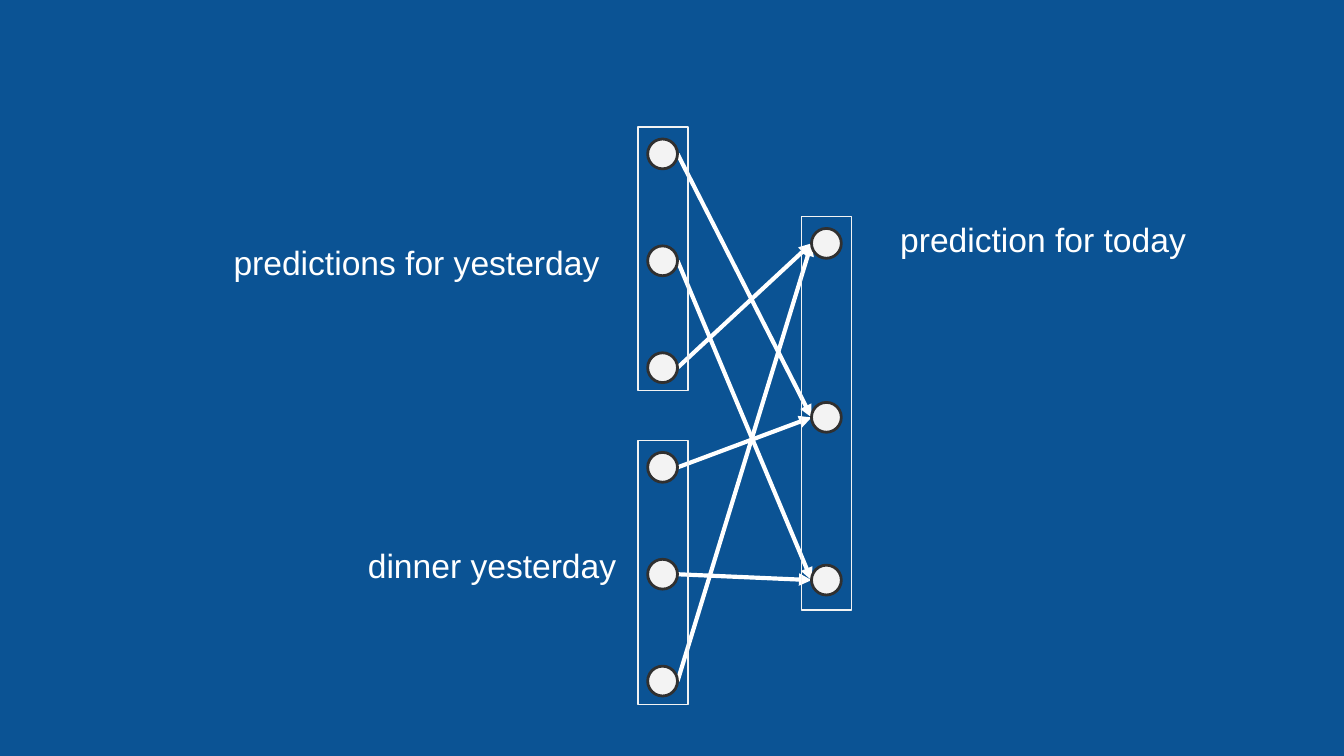
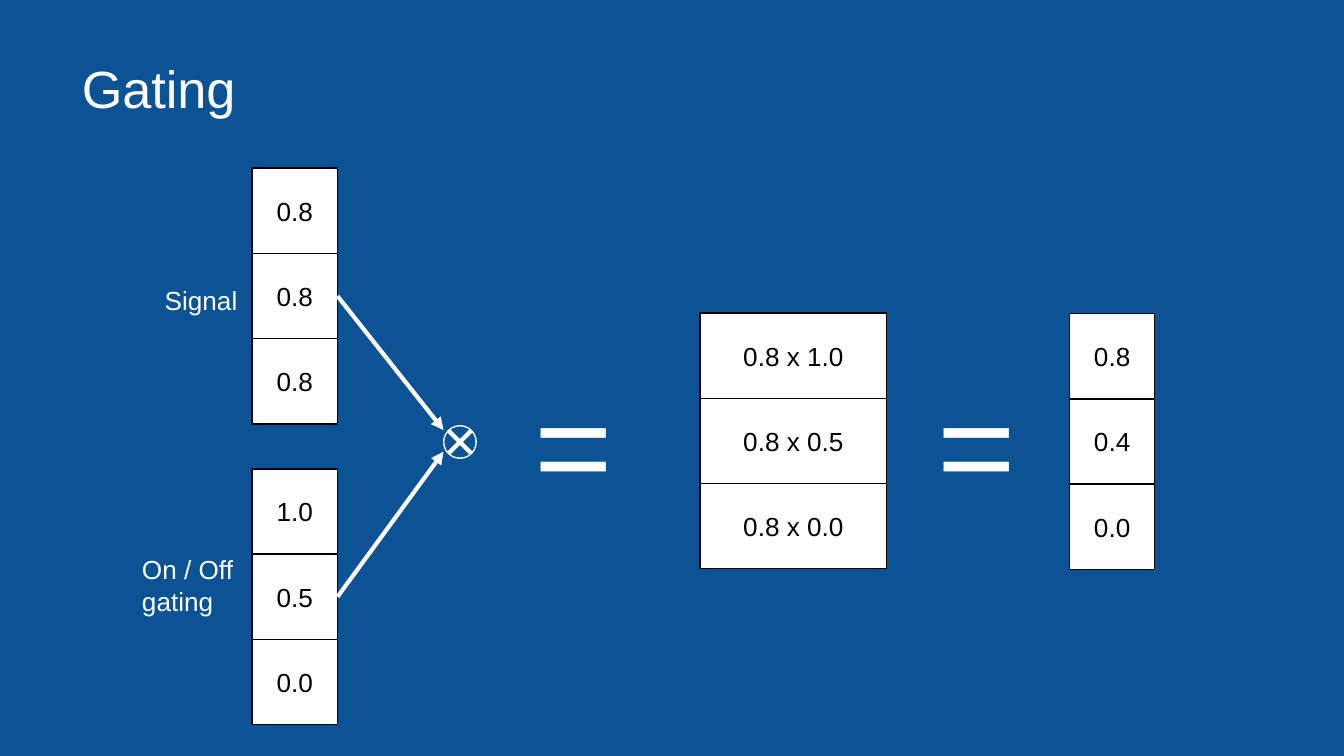
from lxml.etree import SubElement
from pptx import Presentation
from pptx.dml.color import RGBColor
from pptx.enum.shapes import MSO_CONNECTOR, MSO_SHAPE
from pptx.enum.text import MSO_ANCHOR, PP_ALIGN
from pptx.oxml.ns import qn
from pptx.util import Pt

BLUE, WHITE, BLACK = "0B5394", "FFFFFF", "000000"
PALE, DARK = "F3F3F3", "303030"
color = RGBColor.from_string
MARGINS = {f"margin_{side}": Pt(7.2) for side in ("left", "top", "right", "bottom")}


def add_box(shapes, frame, text="", size=14, ink=WHITE, kind=None, fill=None, line=None, weight=0.75):
    """Add a text box, or a preset shape with centred text when kind is given."""
    frame = [Pt(length) for length in frame]
    if kind is None:
        box = shapes.add_textbox(*frame)
        layout = {"word_wrap": True, "vertical_anchor": MSO_ANCHOR.TOP}
        align = PP_ALIGN.LEFT
    else:
        box = shapes.add_shape(kind, *frame)
        box.shadow.inherit = False
        if fill:
            box.fill.solid()
            box.fill.fore_color.rgb = color(fill)
        else:
            box.fill.background()
        box.line.color.rgb = color(line)
        box.line.width = Pt(weight)
        layout = {"word_wrap": True, "vertical_anchor": MSO_ANCHOR.MIDDLE}
        align = PP_ALIGN.CENTER
    for name, value in {**MARGINS, **layout}.items():
        setattr(box.text_frame, name, value)
    if text:
        box.text_frame.text = text
        for para in box.text_frame.paragraphs:
            para.alignment = align
            for span in para.runs:
                for name, value in {"name": "Arial", "size": Pt(size)}.items():
                    setattr(span.font, name, value)
                span.font.color.rgb = color(ink)


def add_line(shapes, start, end, arrow=True):
    """Add a white line, with an arrowhead at its end if wanted."""
    points = [Pt(length) for length in (*start, *end)]
    connector = shapes.add_connector(MSO_CONNECTOR.STRAIGHT, *points)
    connector.line.color.rgb = color(WHITE)
    connector.line.width = Pt(2.25)
    properties = connector.element.spPr
    if arrow:
        SubElement(properties.find(qn("a:ln")), qn("a:tailEnd"), type="triangle")
    SubElement(properties, qn("a:effectLst"))


deck = Presentation()
deck.slide_width, deck.slide_height = Pt(720), Pt(405)
pages = [deck.slides.add_slide(deck.slide_layouts[6]) for _ in range(2)]
for page in pages:
    page.background.fill.solid()
    page.background.fill.fore_color.rgb = color(BLUE)
network, gating = [page.shapes for page in pages]

# Slide 1: labels of the three layers
for text, frame in [
    ("predictions for yesterday", (118, 122.3, 276, 42)),
    ("dinner yesterday", (190, 284.6, 174, 42)),
    ("prediction for today", (475.2, 110.3, 202, 42)),
]:
    add_box(network, frame, text, size=18)

# Slide 1: arrows from each input node to its output node
NODE, INPUT_X, OUTPUT_X, STEP = 16, 347, 434.75, 57.25
prediction_rows = [82.5 + STEP * row for row in range(3)]
dinner_rows = [250.4 + STEP * row for row in range(3)]
output_rows = [130.4, 223.6, 310.8]
for rows, targets in [(prediction_rows, (1, 2, 0)), (dinner_rows, (1, 2, 0))]:
    for row, target in zip(rows, targets):
        add_line(network, (INPUT_X + NODE, row), (OUTPUT_X, output_rows[target]))

# Slide 1: nodes and the frame around each layer
for left, rows, height in [
    (INPUT_X, prediction_rows, 141.3),
    (INPUT_X, dinner_rows, 141.3),
    (OUTPUT_X, output_rows, 210.8),
]:
    for row in rows:
        add_box(network, (left, row - NODE / 2, NODE, NODE), kind=MSO_SHAPE.OVAL,
                fill=PALE, line=DARK, weight=1.5)
    add_box(network, (left - 5.25, rows[0] - 14.4, 26.8, height),
            kind=MSO_SHAPE.RECTANGLE, line=PALE)

# Slide 2: title
add_box(gating, (36.7, 23, 671, 45.4), "Gating", size=28)

# Slide 2: stacks of cells
CELL, STACK_X, SIGNAL_Y, GATE_Y = 45.7, 135.1, 90.1, 251.2
for left, top, width, values in [
    (STACK_X, SIGNAL_Y, CELL, ("0.8", "0.8", "0.8")),
    (STACK_X, GATE_Y, CELL, ("1.0", "0.5", "0.0")),
    (375.1, 167.7, 100, ("0.8 x 1.0", "0.8 x 0.5", "0.8 x 0.0")),
    (573, 168, CELL, ("0.8", "0.4", "0.0")),
]:
    for row, value in enumerate(values):
        add_box(gating, (left, top + CELL * row, width, CELL), value, ink=BLACK,
                kind=MSO_SHAPE.RECTANGLE, fill=WHITE, line=BLACK)

# Slide 2: arrows into the multiplication sign
CENTER_X, CENTER_Y, RADIUS, ARM = 246.4, 236.8, 8.7, 6.1
for top, end_y in [(SIGNAL_Y, 230.4), (GATE_Y, 242)]:
    add_line(gating, (STACK_X + CELL, top + CELL * 1.5), (237.6, end_y))

# Slide 2: multiplication sign, a circle with a cross
sign = gating.add_group_shape().shapes
add_box(sign, (CENTER_X - RADIUS, CENTER_Y - RADIUS, 2 * RADIUS, 2 * RADIUS),
        kind=MSO_SHAPE.OVAL, line=WHITE)
for side in (ARM, -ARM):
    add_line(sign, (CENTER_X + side, CENTER_Y - ARM), (CENTER_X - side, CENTER_Y + ARM), arrow=False)

# Slide 2: equals signs and stack labels
for left in (279.4, 495.4):
    add_box(gating, (left, 185.8, 83.5, 114.5), "=", size=72)
add_box(gating, (81.1, 145.4, 65.5, 56.2), "Signal")
add_box(gating, (69, 289.4, 69, 56.2), "On / Off\ngating")

deck.save("out.pptx")
